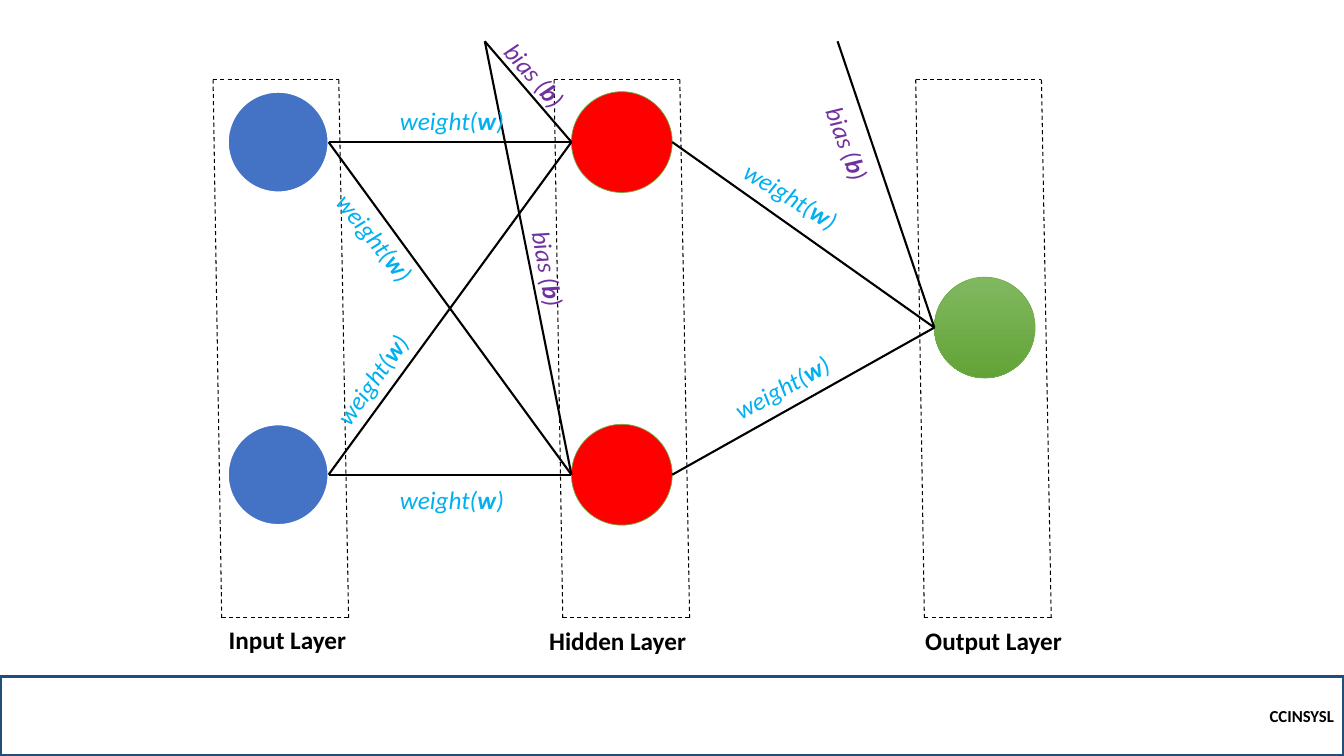
import pptx
import pptx.util
import pptx.dml.color
import pptx.enum.dml
import pptx.enum.shapes
import pptx.enum.text
import pptx.oxml

Pt = pptx.util.Pt
RGBColor = pptx.dml.color.RGBColor
SHAPE = pptx.enum.shapes.MSO_SHAPE
ALIGN = pptx.enum.text.PP_ALIGN

BLACK = RGBColor(0x00, 0x00, 0x00)
WHITE = RGBColor(0xFF, 0xFF, 0xFF)
NAVY = RGBColor(0x1F, 0x4E, 0x79)
BLUE = RGBColor(0x44, 0x72, 0xC4)
RED = RGBColor(0xFF, 0x00, 0x00)
GREEN = RGBColor(0x70, 0xAD, 0x47)
LIGHT_GREEN = RGBColor(0x81, 0xB8, 0x61)
DARK_GREEN = RGBColor(0x62, 0xA3, 0x36)
SKY = RGBColor(0x00, 0xB0, 0xF0)
PURPLE = RGBColor(0x70, 0x30, 0xA0)

deck = pptx.Presentation()
deck.slide_width, deck.slide_height = Pt(960), Pt(540)
page = deck.slides.add_slide(deck.slide_layouts[6])


def add_line(start, end, width, dash=None):
    line = page.shapes.add_connector(
        pptx.enum.shapes.MSO_CONNECTOR.STRAIGHT,
        Pt(start[0]), Pt(start[1]), Pt(end[0]), Pt(end[1]))
    line.line.color.rgb = BLACK
    line.line.width = Pt(width)
    if dash:
        line.line.dash_style = dash
    properties = line._element.spPr
    properties.append(pptx.oxml.parse_xml(
        '<a:effectLst xmlns:a="http://schemas.openxmlformats.org/drawingml/2006/main"/>'))


def add_text(left, top, width, spans, color, wrap, italic, rotation=0):
    box = page.shapes.add_textbox(Pt(left), Pt(top), Pt(width), Pt(29))
    box.rotation = rotation
    box.text_frame.word_wrap = wrap
    para = box.text_frame.paragraphs[0]
    for text, bold in spans:
        span = para.add_run()
        span.text = text
        span.font.name, span.font.size = "Calibri", Pt(18)
        span.font.bold, span.font.italic = bold, italic
        span.font.color.rgb = color


# Footer bar
footer = page.shapes.add_shape(SHAPE.RECTANGLE, 0, Pt(483), Pt(960), Pt(57))
footer.shadow.inherit = False
footer.fill.background()
footer.line.color.rgb = NAVY
footer.line.width = Pt(2.25)
footer.text_frame.text = "CCINSYSL"
footer.text_frame.vertical_anchor = pptx.enum.text.MSO_ANCHOR.MIDDLE
para = footer.text_frame.paragraphs[0]
para.alignment = ALIGN.RIGHT
font = para.runs[0].font
font.name, font.size, font.bold = "Calibri", Pt(12), True
font.color.rgb = BLACK

# Neurons, placed by their centres
RADIUS = 36
INPUT_X, HIDDEN_X, OUTPUT_X = 198.7, 444.2, 703.4
UPPER_Y, MIDDLE_Y, LOWER_Y = 101.5, 234, 339.1
neurons = [
    (INPUT_X, UPPER_Y, BLUE, WHITE, 1.5),
    (INPUT_X, LOWER_Y, BLUE, WHITE, 1.5),
    (HIDDEN_X, UPPER_Y, RED, GREEN, 0.5),
    (HIDDEN_X, LOWER_Y, RED, GREEN, 0.5),
    (OUTPUT_X, MIDDLE_Y, None, GREEN, 0.5),
]
for x, y, fill, outline, width in neurons:
    neuron = page.shapes.add_shape(
        SHAPE.OVAL, Pt(x - RADIUS), Pt(y - RADIUS), Pt(2 * RADIUS), Pt(2 * RADIUS))
    neuron.shadow.inherit = False
    neuron.line.color.rgb = outline
    neuron.line.width = Pt(width)
    if fill:
        neuron.fill.solid()
        neuron.fill.fore_color.rgb = fill
    else:
        neuron.fill.gradient()
        neuron.fill.gradient_angle = 270
        for stop, color in zip(neuron.fill.gradient_stops, (LIGHT_GREEN, DARK_GREEN)):
            stop.color.rgb = color

# Dashed layer frames with their names
layers = [
    ("Input Layer", 152.2, 156.2, 442.6, 99.4),
    ("Hidden Layer", 395.8, 385.2, 443.3, 116.6),
    ("Output Layer", 654.1, 653.8, 443.3, 116.6),
]
for name, left, label_left, label_top, label_width in layers:
    corners = [(left, 56.9), (left + 89.8, 56.9), (left + 96.8, 441.4), (left + 6.2, 441.4)]
    for start, end in zip(corners, corners[1:] + corners[:1]):
        add_line(start, end, 0.75, pptx.enum.dml.MSO_LINE.DASH)
    add_text(label_left, label_top, label_width, [(name, True)], BLACK, True, False)

# Weighted links between layers
for start_y in (UPPER_Y, LOWER_Y):
    for end_y in (UPPER_Y, LOWER_Y):
        add_line((INPUT_X + RADIUS, start_y), (HIDDEN_X - RADIUS, end_y), 1.5)
    add_line((HIDDEN_X + RADIUS, start_y), (OUTPUT_X - RADIUS, MIDDLE_Y), 1.5)

# Bias links
for start_x, layer_x, end_y in [(346.3, HIDDEN_X, UPPER_Y), (346.3, HIDDEN_X, LOWER_Y),
                                (598.3, OUTPUT_X, MIDDLE_Y)]:
    add_line((start_x, 29.5), (layer_x - RADIUS, end_y), 1.5)

# Weight and bias labels: left, top, rotation
weight_places = [(278.6, 72, 0), (223.2, 156.2, 51.1), (278.6, 342.7, 0),
                 (221, 255.6, 305.5), (520.6, 126, 31.5), (514.1, 261.4, 331.1)]
bias_places = [(357.1, 177.8, 79.4), (571, 88.6, 69.4), (347.8, 39.6, 49.2)]
for word, symbol, color, width, places in [
        ("weight(", "w", SKY, 90.7, weight_places),
        ("bias (", "b", PURPLE, 69.1, bias_places)]:
    for left, top, rotation in places:
        add_text(left, top, width, [(word, False), (symbol, True), (")", False)],
                 color, False, True, rotation)

deck.save("out.pptx")
